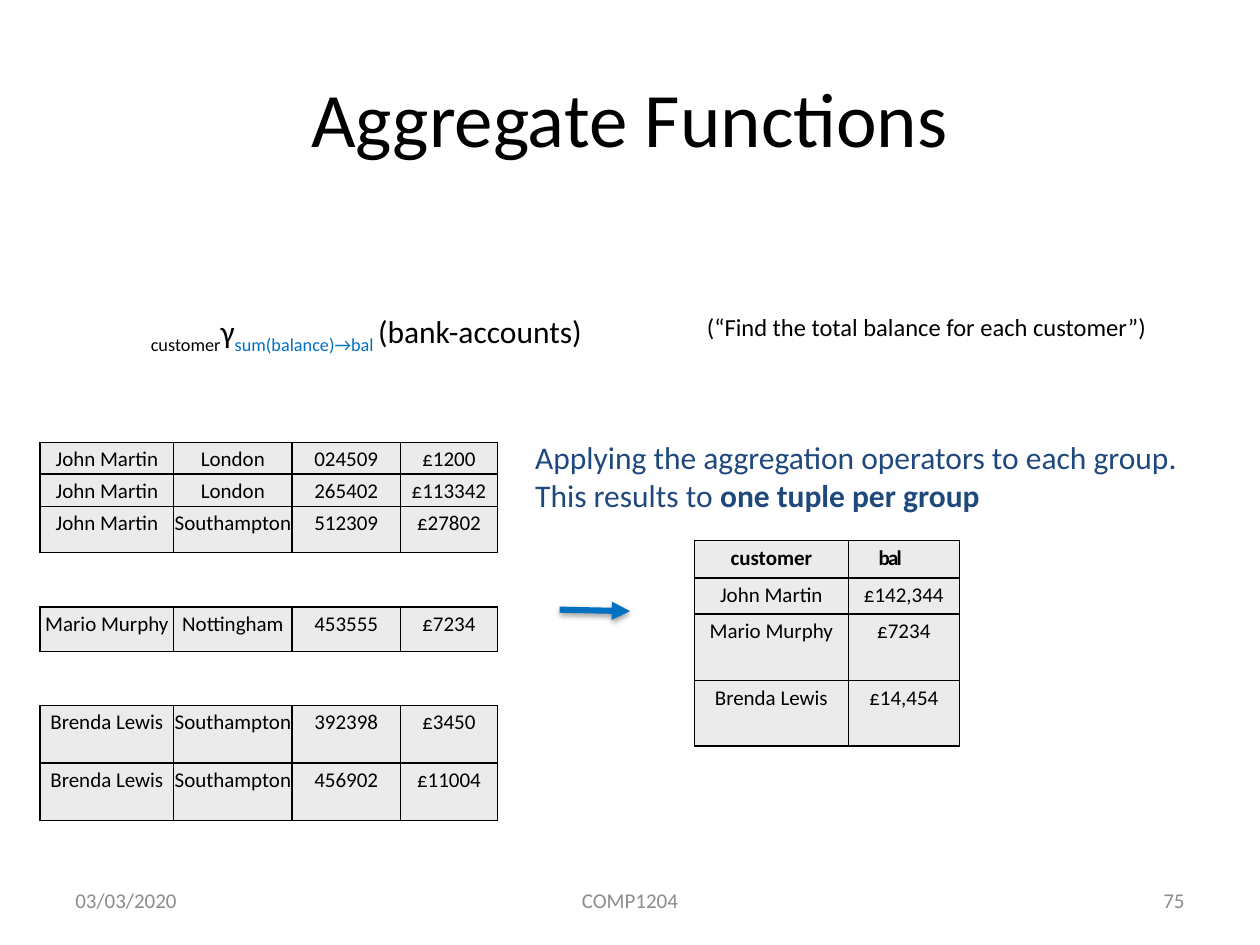
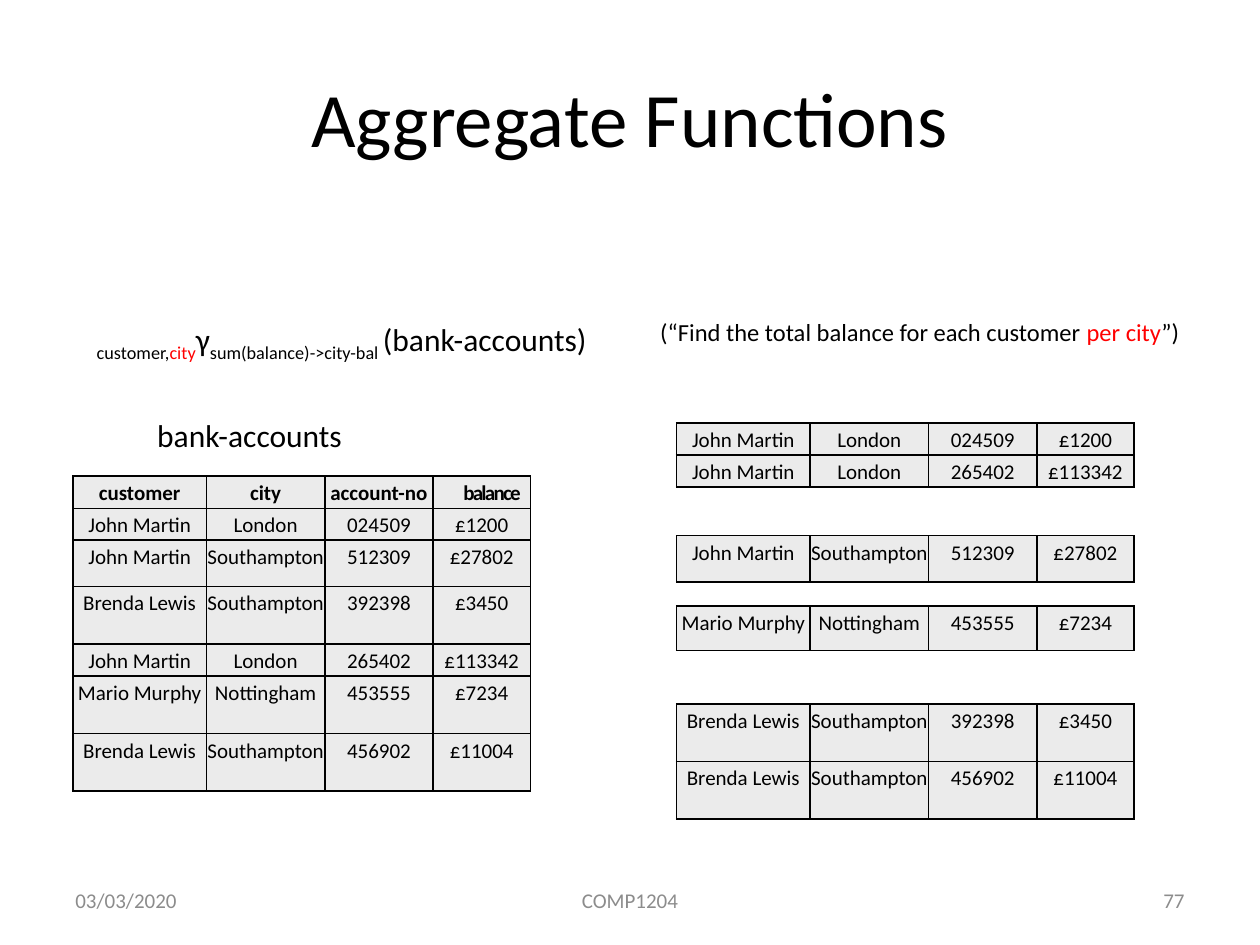
from dataclasses import dataclass
from typing import Optional

from lxml.etree import SubElement
from pptx import Presentation
from pptx.dml.color import RGBColor as Rgb
from pptx.enum.shapes import MSO_CONNECTOR as Connector
from pptx.enum.text import MSO_ANCHOR as Anchor, MSO_AUTO_SIZE as AutoSize, PP_ALIGN as Align
from pptx.oxml import parse_xml
from pptx.oxml.ns import nsdecls, qn
from pptx.util import Cm, Pt


@dataclass(frozen=True)
class Theme:
    font: str = "Calibri"
    black: Rgb = Rgb(0, 0, 0)
    gray: Rgb = Rgb(0x8C, 0x8C, 0x8C)
    blue: Rgb = Rgb(0x00, 0x70, 0xC0)
    navy: Rgb = Rgb(0x1F, 0x49, 0x7D)
    red: Rgb = Rgb(0xFF, 0, 0)
    cell: Rgb = Rgb(0xEB, 0xEB, 0xEB)
    title_size: int = 44
    text_size: int = 18
    note_size: int = 14
    small_size: int = 12


THEME = Theme()


@dataclass(frozen=True)
class Part:
    text: str
    color: Optional[Rgb] = None
    bold: Optional[bool] = None
    subscript: bool = False


@dataclass(frozen=True)
class Account:
    customer: str
    city: str
    number: str
    balance: str
    height: float

    def cells(self):
        return [self.customer, self.city, self.number, self.balance]


MARTIN_1 = Account("John Martin", "London", "024509", "£1200", 0.64)
MARTIN_2 = Account("John Martin", "London", "265402", "£113342", 0.65)
MARTIN_3 = Account("John Martin", "Southampton", "512309", "£27802", 0.93)
MURPHY = Account("Mario Murphy", "Nottingham", "453555", "£7234", 0.89)
LEWIS_1 = Account("Brenda Lewis", "Southampton", "392398", "£3450", 1.16)
LEWIS_2 = Account("Brenda Lewis", "Southampton", "456902", "£11004", 1.16)

ACCOUNT_COLUMNS = [2.69, 2.39, 2.18, 1.96]
TIGHT_HEADERS = ("bal", "balance")


def style_font(font, size, color, bold=None):
    font.name = THEME.font
    font.size = Pt(size)
    font.color.rgb = color
    font.bold = bold


def add_parts(paragraph, parts):
    for part in parts:
        run = paragraph.add_run()
        run.text = part.text
        if part.color is not None:
            run.font.color.rgb = part.color
        if part.bold is not None:
            run.font.bold = part.bold
        if part.subscript:
            run._r.get_or_add_rPr().set("baseline", "-25000")


def add_text(slide, box, lines, size, color=THEME.black, align=Align.LEFT,
             wrap=False, spacing=None):
    shape = slide.shapes.add_textbox(*map(Cm, box))
    frame = shape.text_frame
    frame.word_wrap = wrap
    frame.auto_size = AutoSize.SHAPE_TO_FIT_TEXT
    for index, parts in enumerate(lines):
        paragraph = frame.add_paragraph() if index else frame.paragraphs[0]
        paragraph.alignment = align
        paragraph.line_spacing = spacing
        style_font(paragraph.font, size, color)
        add_parts(paragraph, parts)
    return shape


def add_footer(slide, left, width, text, align):
    shape = add_text(slide, (left, 17.65, width, 1.01), [[Part(text)]],
                     THEME.small_size, THEME.gray, align, wrap=True)
    shape.text_frame.auto_size = AutoSize.NONE
    shape.text_frame.vertical_anchor = Anchor.MIDDLE


def add_aggregate_slide(presentation, number):
    slide = presentation.slides.add_slide(presentation.slide_layouts[5])
    title = slide.shapes.title
    title.left, title.top, title.width, title.height = map(Cm, (1.27, 0.76, 22.86, 3.18))
    title.text_frame.text = "Aggregate Functions"
    title.text_frame.vertical_anchor = Anchor.MIDDLE
    paragraph = title.text_frame.paragraphs[0]
    paragraph.alignment = Align.CENTER
    style_font(paragraph.font, THEME.title_size, THEME.black)
    add_footer(slide, 1.27, 5.93, "03/03/2020", Align.LEFT)
    add_footer(slide, 8.68, 8.04, "COMP1204", Align.CENTER)
    add_footer(slide, 18.2, 5.93, number, Align.RIGHT)
    return slide


def add_borders(cell):
    properties = cell._tc.get_or_add_tcPr()
    for side in ("lnL", "lnR", "lnT", "lnB"):
        line = SubElement(properties, qn(f"a:{side}"), w=str(Pt(1)))
        fill = SubElement(line, qn("a:solidFill"))
        SubElement(fill, qn("a:srgbClr"), val=str(THEME.black))


def tighten(paragraph):
    paragraph.alignment = Align.LEFT
    paragraph._p.get_or_add_pPr().set("marL", str(Cm(0.61)))
    paragraph.runs[0]._r.get_or_add_rPr().set("spc", "-100")


def fill_cell(cell, text, bold):
    cell.margin_left = cell.margin_right = cell.margin_bottom = 0
    cell.margin_top = Cm(0.09)
    add_borders(cell)
    cell.fill.solid()
    cell.fill.fore_color.rgb = THEME.cell
    cell.text = text
    paragraph = cell.text_frame.paragraphs[0]
    paragraph.alignment = Align.CENTER
    paragraph.space_before = Pt(3.5)
    style_font(paragraph.font, THEME.small_size, THEME.black, bold)
    if text in TIGHT_HEADERS:
        tighten(paragraph)


def add_grid(slide, left, top, columns, heights, rows, header=False):
    frame = slide.shapes.add_table(len(rows), len(columns), Cm(left), Cm(top),
                                   Cm(sum(columns)), Cm(sum(heights)))
    table = frame.table
    table.first_row = table.horz_banding = False
    for column, width in zip(table.columns, columns):
        column.width = Cm(width)
    for index, (row, height, texts) in enumerate(zip(table.rows, heights, rows)):
        row.height = Cm(height)
        for cell, text in zip(row.cells, texts):
            fill_cell(cell, text, header and index == 0)


def add_account_groups(slide, left, groups):
    for top, accounts in groups:
        for account in accounts:
            add_grid(slide, left, top, ACCOUNT_COLUMNS, [account.height], [account.cells()])
            top += account.height


def add_arrow(slide, start, end):
    arrow = slide.shapes.add_connector(Connector.STRAIGHT, *map(Cm, start + end))
    arrow.line.color.rgb = THEME.blue
    arrow.line.width = Pt(3.5)
    SubElement(arrow.line._get_or_add_ln(), qn("a:tailEnd"), type="triangle")
    arrow._element.spPr.append(parse_xml(
        f'<a:effectLst {nsdecls("a")}>'
        '<a:outerShdw blurRad="40000" dist="20000" dir="5400000" rotWithShape="0">'
        '<a:srgbClr val="000000"><a:alpha val="38000"/></a:srgbClr>'
        '</a:outerShdw></a:effectLst>'))


def build_customer_slide(presentation):
    slide = add_aggregate_slide(presentation, "75")
    add_account_groups(slide, 0.81, [
        (8.92, [MARTIN_1, MARTIN_2, MARTIN_3]),
        (12.24, [MURPHY]),
        (14.22, [LEWIS_1, LEWIS_2]),
    ])
    add_text(slide, (2.79, 5.99, 10.19, 1.17), [[
        Part("customer", subscript=True),
        Part("γ"),
        Part("sum(balance)→bal ", THEME.blue, subscript=True),
        Part("(bank-accounts)"),
    ]], THEME.text_size, spacing=1.2)
    add_text(slide, (14, 6.17, 9.45, 0.86),
             [[Part("(“Find the total balance for each customer”)")]], THEME.note_size)
    add_arrow(slide, (11.28, 12.29), (12.7, 12.32))
    add_text(slide, (10.54, 8.71, 13.61, 1.8), [
        [Part("Applying the aggregation operators to each group.")],
        [Part("This results to "), Part("one tuple per group", bold=True)],
    ], THEME.text_size, THEME.navy)
    add_grid(slide, 14, 10.9, [3.1, 2.24], [0.75, 0.73, 1.34, 1.32], [
        ["customer", "bal"],
        ["John Martin", "£142,344"],
        ["Mario Murphy", "£7234"],
        ["Brenda Lewis", "£14,454"],
    ], header=True)


def build_city_slide(presentation):
    slide = add_aggregate_slide(presentation, "77")
    accounts = [MARTIN_1, MARTIN_3, LEWIS_1, MARTIN_2, MURPHY, LEWIS_2]
    heights = [0.65, 0.64, 0.93, 1.16, 0.65, 1.16, 1.16]
    headers = ["customer", "city", "account-no", "balance"]
    add_grid(slide, 1.47, 9.6, ACCOUNT_COLUMNS, heights,
             [headers] + [account.cells() for account in accounts], header=True)
    add_text(slide, (2.92, 8.26, 7.04, 1.02), [[Part("bank-accounts")]],
             THEME.text_size, wrap=True)
    add_account_groups(slide, 13.64, [
        (8.53, [MARTIN_1, MARTIN_2]),
        (10.8, [MARTIN_3]),
        (12.22, [MURPHY]),
        (14.19, [LEWIS_1, LEWIS_2]),
    ])
    add_text(slide, (1.7, 6.15, 11.23, 1.17), [[
        Part("customer,", subscript=True),
        Part("city", THEME.red, subscript=True),
        Part("γ"),
        Part("sum(balance)->city-bal ", subscript=True),
        Part("(bank-accounts)"),
    ]], THEME.text_size, spacing=1.2)
    add_text(slide, (13.06, 6.27, 11.07, 0.86), [[
        Part("(“Find the total balance for each customer "),
        Part("per city", THEME.red),
        Part("”)"),
    ]], THEME.note_size)


def main():
    presentation = Presentation()
    presentation.slide_width = Cm(25.4)
    presentation.slide_height = Cm(19.05)
    build_customer_slide(presentation)
    build_city_slide(presentation)
    presentation.save("out.pptx")


if __name__ == "__main__":
    main()
